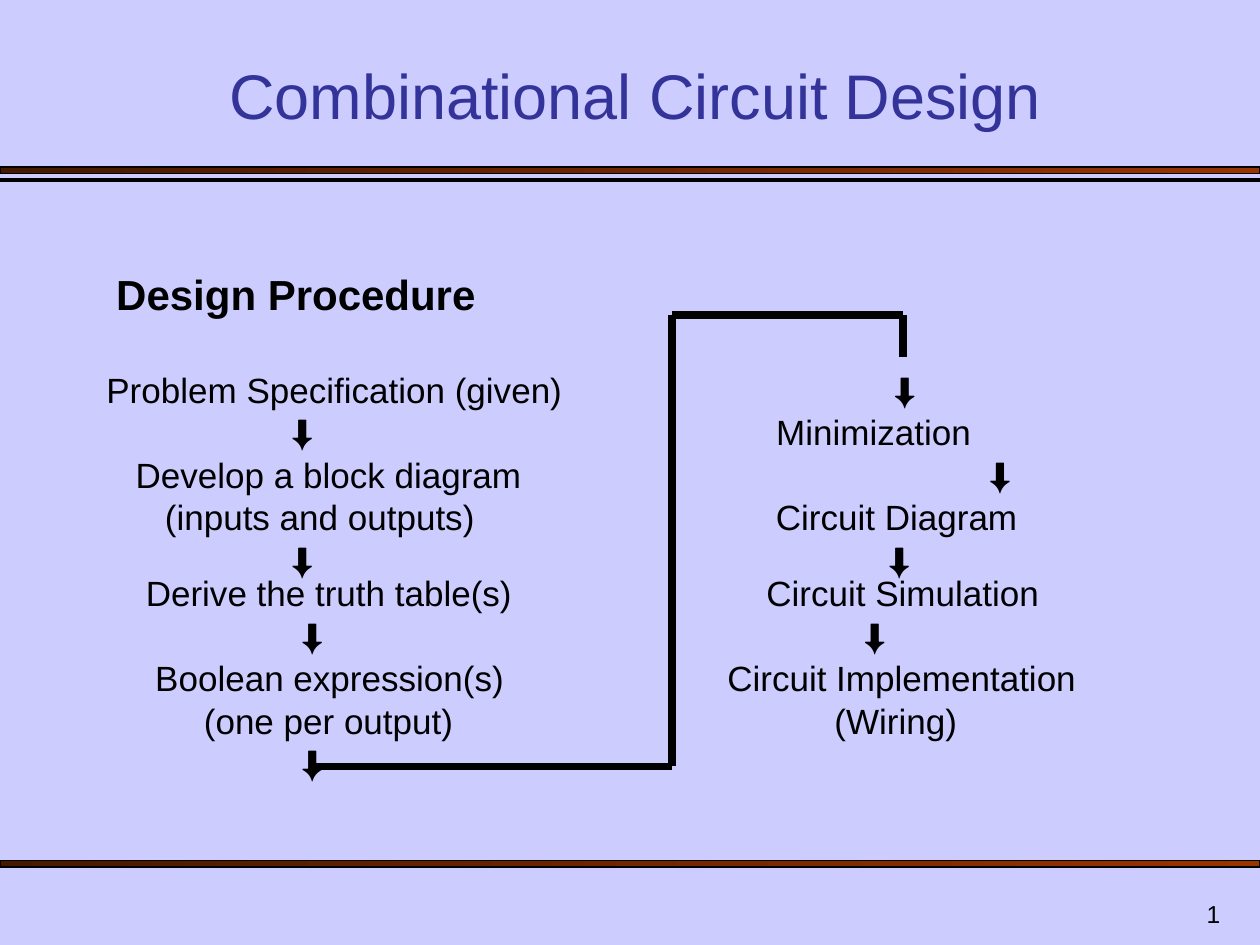
from itertools import pairwise

from lxml.etree import SubElement
from pptx import Presentation
from pptx.dml.color import RGBColor
from pptx.enum.shapes import MSO_CONNECTOR, MSO_SHAPE
from pptx.enum.text import MSO_ANCHOR, PP_ALIGN
from pptx.oxml.ns import qn
from pptx.util import Pt

COLORS = {
    "background": "CCCCFF",
    "title": "333399",
    "text": "000000",
    "bar_dark": "471800",
    "bar_light": "993300",
}
ARROW = "⬇"

# Each row: space before, then (centre x, text) for each column
STEPS = [
    (33.3, [(191.2, "Problem Specification (given)"), (517.1, ARROW)]),
    (5.3, [(172.9, ARROW), (499.3, "Minimization")]),
    (5.3, [(187.9, "Develop a block diagram"), (571.6, ARROW)]),
    (5.3, [(182.9, "(inputs and outputs)"), (512.5, "Circuit Diagram")]),
    (5.3, [(172.9, ARROW), (514, ARROW)]),
    (0, [(188.1, "Derive the truth table(s)"), (516, "Circuit Simulation")]),
    (5.3, [(178.6, ARROW), (500, ARROW)]),
    (5.3, [(188.5, "Boolean expression(s)"), (515.4, "Circuit Implementation")]),
    (5.3, [(187.9, "(one per output)"), (512, "(Wiring)")]),
    (5.3, [(178.6, ARROW)]),
]


class Deck:
    font = "Arial"
    inset = 7.2
    line_height = 19

    def __init__(self, slide):
        self.s = slide
        fill = slide.background.fill
        fill.solid()
        fill.fore_color.rgb = self.color("background")

    def color(self, name):
        return RGBColor.from_string(COLORS[name])

    def format(self, p, size, color="text", bold=False):
        for r in p.runs:
            r.font.name = self.font
            r.font.size = Pt(size)
            r.font.bold = bold
            r.font.color.rgb = self.color(color)

    def frame(self, x, y, w, h, anchor=MSO_ANCHOR.TOP):
        tf = self.s.shapes.add_textbox(Pt(x), Pt(y), Pt(w), Pt(h)).text_frame
        tf.word_wrap = True
        tf.vertical_anchor = anchor
        return tf

    def text(self, x, y, w, h, text, size, align, color="text"):
        p = self.frame(x, y, w, h, MSO_ANCHOR.BOTTOM).paragraphs[0]
        p.text = text
        p.alignment = align
        self.format(p, size, color)

    def row(self, p, left, cells, size, before=0, bold=False):
        """Centre each cell's text on its own tab stop."""
        p.text = "".join("\t" + text for _, text in cells)
        p.line_spacing = Pt(self.line_height)
        p.space_before = Pt(before)
        tabs = SubElement(p._p.get_or_add_pPr(), qn("a:tabLst"))
        for x, _ in cells:
            pos = Pt(x - left - self.inset)
            SubElement(tabs, qn("a:tab"), pos=str(pos), algn="ctr")
        self.format(p, size, bold=bold)

    def bar(self, y, h):
        sp = self.s.shapes.add_shape(MSO_SHAPE.RECTANGLE, 0, Pt(y), Pt(720), Pt(h))
        sp.shadow.inherit = False
        sp.fill.gradient()
        sp.fill.gradient_angle = 0
        for i, name in enumerate(("bar_dark", "bar_light")):
            stop = sp.fill.gradient_stops[i]
            stop.position = i
            stop.color.rgb = self.color(name)
        sp.line.color.rgb = self.color("text")
        sp.line.width = Pt(0.75)

    def line(self, start, end):
        points = [Pt(v) for v in (*start, *end)]
        sp = self.s.shapes.add_connector(MSO_CONNECTOR.STRAIGHT, *points)
        sp.line.color.rgb = self.color("text")
        sp.line.width = Pt(4.5)
        SubElement(sp._element.spPr, qn("a:effectLst"))


def main():
    prs = Presentation()
    prs.slide_width, prs.slide_height = Pt(720), Pt(540)
    deck = Deck(prs.slides.add_slide(prs.slide_layouts[6]))

    # Rules above and below the body
    for y, h in ((95.5, 3.75), (102.25, 1.25), (491.75, 3.75)):
        deck.bar(y, h)

    # Slide number and title
    deck.text(554.4, 504, 150, 30, "1", 14, PP_ALIGN.RIGHT)
    deck.text(42, 30, 642, 49, "Combinational Circuit Design", 36,
              PP_ALIGN.CENTER, "title")

    # Heading and procedure steps
    left = 18
    tf = deck.frame(left, 120, 666, 354)
    tf.margin_top = Pt(43.2)
    deck.row(tf.paragraphs[0], left, [(169.2, "Design Procedure")], 24, bold=True)
    for before, cells in STEPS:
        deck.row(tf.add_paragraph(), left, cells, 20, before)

    # Path from the left column to the top of the right column
    route = [(180, 438), (384, 438), (384, 180), (516, 180), (516, 204)]
    for start, end in pairwise(route):
        deck.line(start, end)

    prs.save("out.pptx")


if __name__ == "__main__":
    main()
